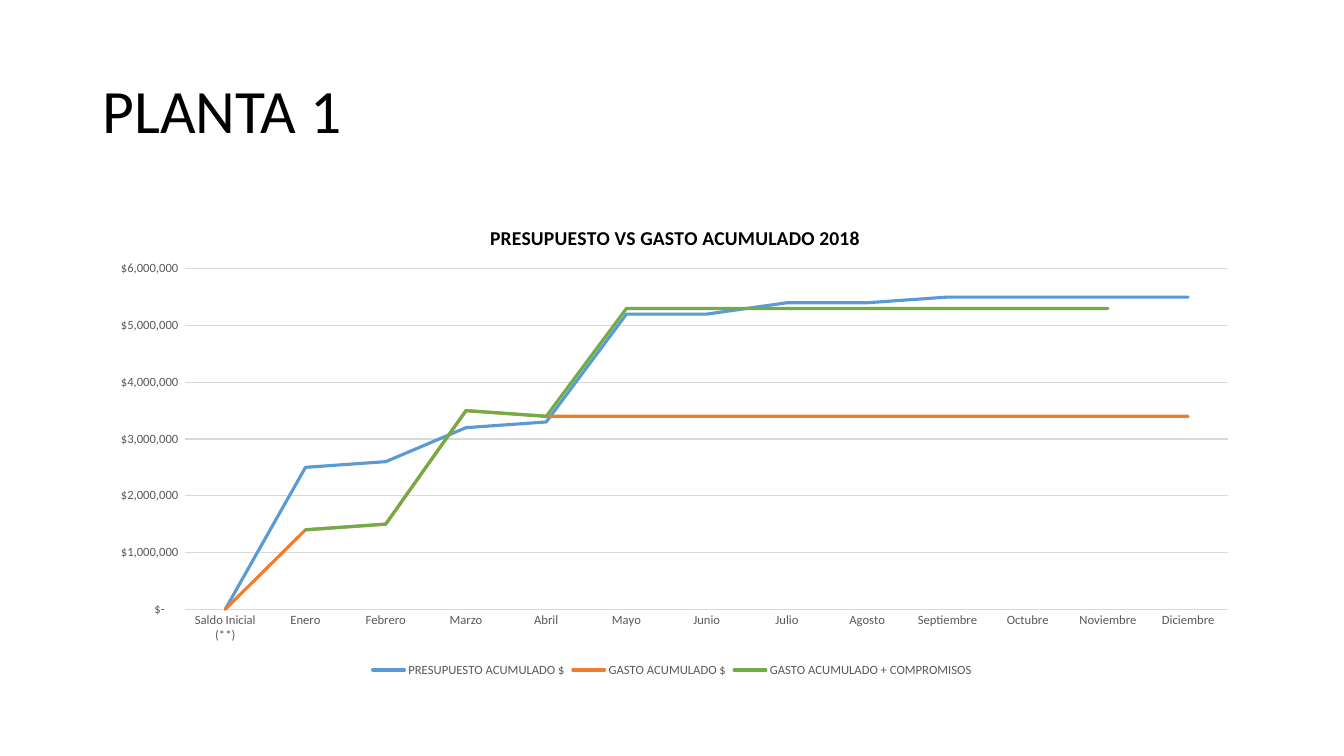
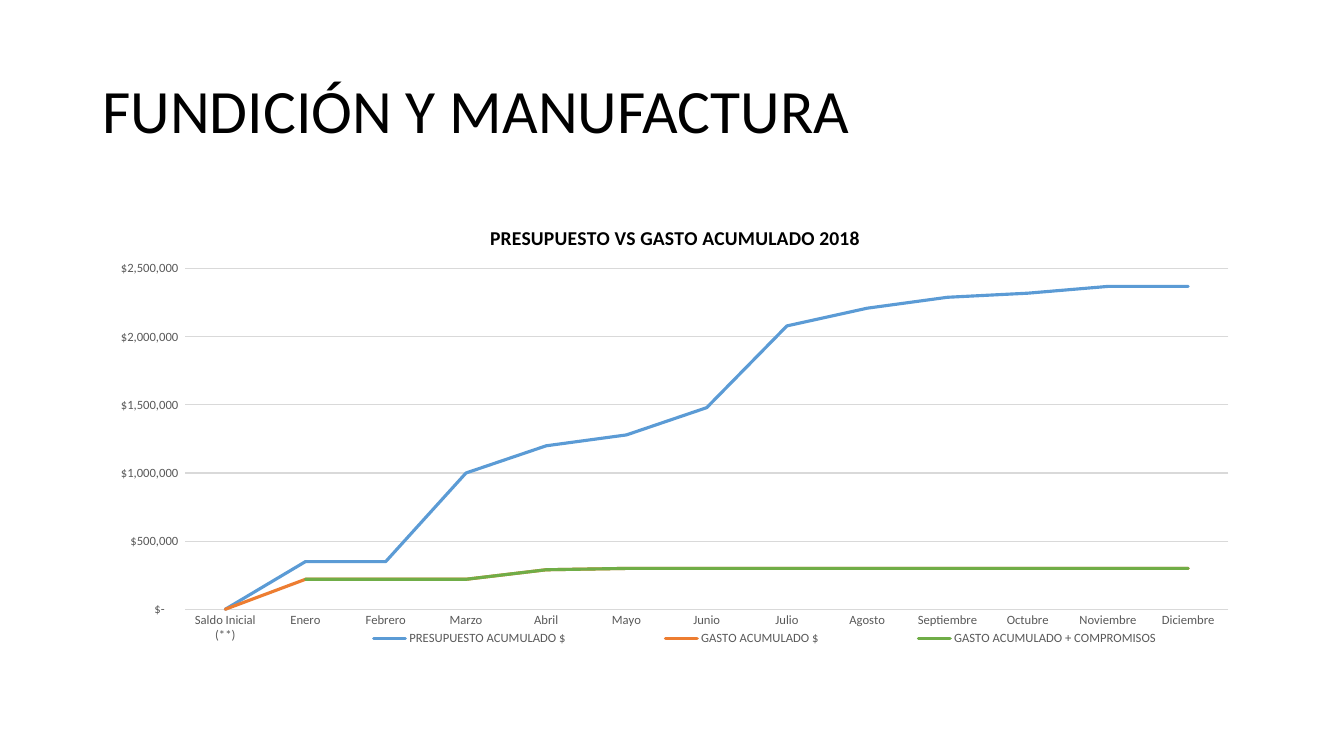
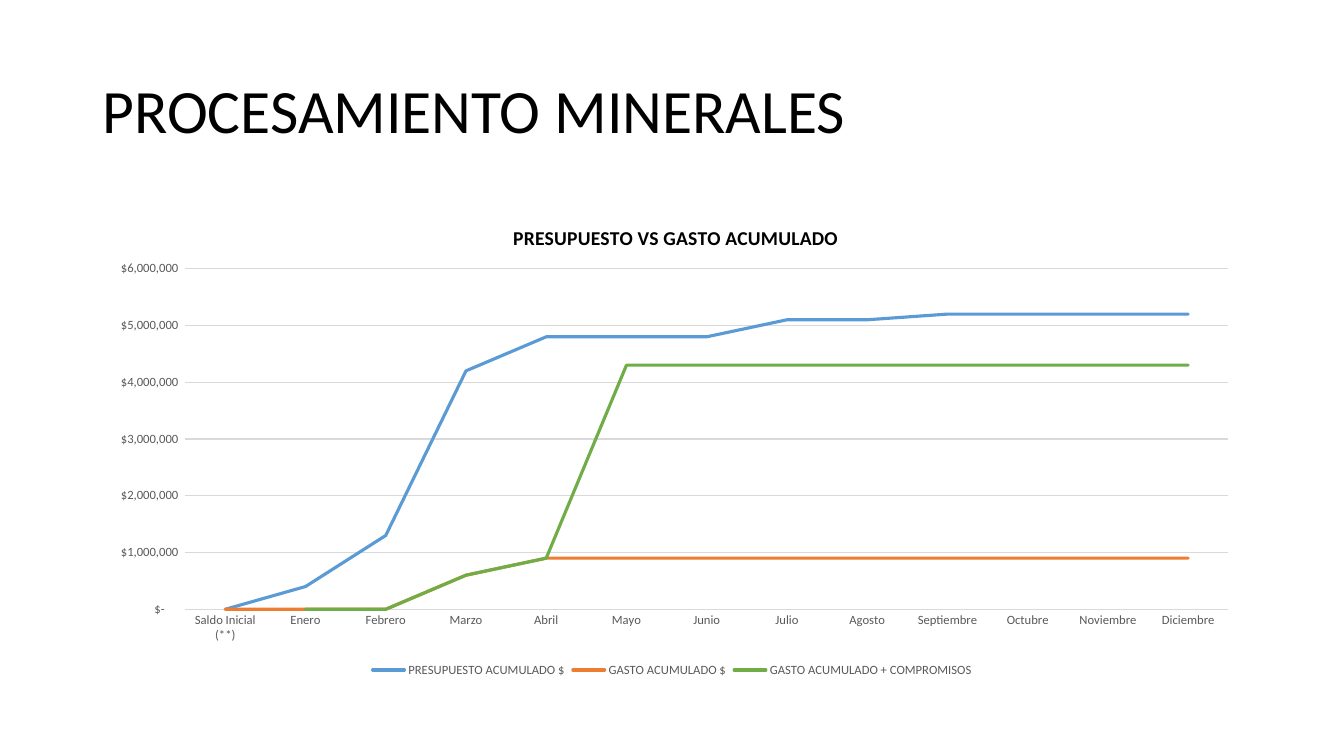
from pptx import Presentation
from pptx.chart.data import CategoryChartData
from pptx.dml.color import RGBColor
from pptx.enum.chart import XL_CHART_TYPE, XL_LEGEND_POSITION, XL_TICK_MARK
from pptx.enum.text import MSO_ANCHOR, PP_ALIGN
from pptx.oxml import parse_xml
from pptx.oxml.ns import nsdecls, qn
from pptx.util import Pt

LINE = XL_CHART_TYPE.LINE
BOTTOM = XL_LEGEND_POSITION.BOTTOM
NONE = XL_TICK_MARK.NONE
MIDDLE = MSO_ANCHOR.MIDDLE
LEFT = PP_ALIGN.LEFT

FONT = "Calibri"
BLACK = RGBColor(0x00, 0x00, 0x00)
GRAY = RGBColor(0x59, 0x59, 0x59)
PALE = RGBColor(0xD9, 0xD9, 0xD9)
BLUE = RGBColor(0x5B, 0x9B, 0xD5)
ORANGE = RGBColor(0xED, 0x7D, 0x31)
GREEN = RGBColor(0x70, 0xAD, 0x47)

WIDE, HIGH = 960, 540
EDGE = 66
TITLE_BOX = [Pt(n) for n in (EDGE, 28.8, WIDE - 2 * EDGE, 104.4)]
CHART_BOX = [Pt(n) for n in (EDGE, 144, WIDE - 2 * EDGE, 342.7)]

MONTHS = ["Saldo Inicial (**)", "Enero", "Febrero", "Marzo", "Abril", "Mayo",
          "Junio", "Julio", "Agosto", "Septiembre", "Octubre", "Noviembre",
          "Diciembre"]
SERIES = [("PRESUPUESTO ACUMULADO $", BLUE),
          ("GASTO ACUMULADO $", ORANGE),
          ("GASTO ACUMULADO + COMPROMISOS", GREEN)]
DASH = '_-"$"* #,##0_-;\\-"$"* #,##0_-;_-"$"* "-"??_-;_-@_-'
PAREN = '_("$"* #,##0_);_("$"* \\(#,##0\\);_("$"* "-"??_);_(@_)'

SLIDES = [
    {"title": "PLANTA 1", "head": "PRESUPUESTO VS GASTO ACUMULADO 2018",
     "left": 0.34, "top": 0.14, "format": DASH, "max": 6000, "step": 1000,
     "key": None,
     "rows": [
         [0, 2500, 2600, 3200, 3300] + [5200] * 2 + [5400] * 2 + [5500] * 4,
         [0, 1400, 1500, 3500] + [3400] * 9,
         [None, 1400, 1500, 3500, 3400] + [5300] * 7 + [None]]},
    {"title": "FUNDICIÓN Y MANUFACTURA",
     "head": "PRESUPUESTO VS GASTO ACUMULADO 2018",
     "left": 0.34, "top": 0.14, "format": DASH, "max": 2500, "step": 500,
     "key": (0.16, 0.89, 0.84, 0.04),
     "rows": [
         [0, 350, 350, 1000, 1200, 1280, 1480, 2080, 2210, 2290, 2320, 2370, 2370],
         [0] + [220] * 3 + [290] + [300] * 8,
         [None] + [220] * 3 + [290] + [300] * 8]},
    {"title": "PROCESAMIENTO MINERALES", "head": "PRESUPUESTO VS GASTO ACUMULADO",
     "left": 0.36, "top": 0.14, "format": PAREN, "max": 6000, "step": 1000,
     "key": None,
     "rows": [
         [0, 400, 1300, 4200] + [4800] * 3 + [5100] * 2 + [5200] * 4,
         [0] * 3 + [600] + [900] * 9,
         [None, 0, 0, 600, 900] + [4300] * 8]},
]


def style(font, size, color, bold=False):
    font.name, font.size, font.bold = FONT, Pt(size), bold
    font.color.rgb = color


def stroke(line, color, width):
    line.color.rgb = color
    line.width = Pt(width)


def place(part, index, spots, inner=False):
    old = part.find(qn("c:layout"))
    if old is not None:
        part.remove(old)
    body = '<c:layoutTarget val="inner"/>' if inner else ""
    names = "xywh"[:len(spots)]
    body += "".join(f'<c:{n}Mode val="edge"/>' for n in names[:2])
    body += "".join(f'<c:{n} val="{v}"/>' for n, v in zip(names, spots))
    part.insert(index, parse_xml(
        f'<c:layout {nsdecls("c")}><c:manualLayout>{body}</c:manualLayout></c:layout>'))


def move(shape, box):
    shape.left, shape.top, shape.width, shape.height = box


def add_title(slide, text):
    frame = slide.shapes.title.text_frame
    frame.text = text
    frame.vertical_anchor = MIDDLE
    para = frame.paragraphs[0]
    para.alignment = LEFT
    para.line_spacing = 0.9
    style(para.runs[0].font, 44, BLACK)


def style_axes(chart, item):
    for axis in (chart.category_axis, chart.value_axis):
        axis.major_tick_mark = axis.minor_tick_mark = NONE
        style(axis.tick_labels.font, 9, GRAY)
    stroke(chart.category_axis.format.line, PALE, 0.75)
    scale = chart.value_axis
    scale.format.line.fill.background()
    scale.minimum_scale = 0
    scale.maximum_scale = item["max"] * 1000
    scale.major_unit = item["step"] * 1000
    scale.has_major_gridlines = True
    stroke(scale.major_gridlines.format.line, PALE, 0.75)
    scale.tick_labels.number_format = item["format"]
    scale.tick_labels.number_format_is_linked = False


def add_lines(slide, item):
    data = CategoryChartData()
    data.categories = MONTHS
    for (name, color), row in zip(SERIES, item["rows"]):
        data.add_series(name, [None if n is None else n * 1000 for n in row])
    chart = slide.shapes.add_chart(LINE, *CHART_BOX, data).chart
    style(chart.font, 10, BLACK)

    chart.has_title = True
    frame = chart.chart_title.text_frame
    frame.text = item["head"]
    style(frame.paragraphs[0].runs[0].font, 14, BLACK, True)
    place(chart.chart_title._element, 1, (item["left"], 0.04))

    chart.has_legend = True
    legend = chart.legend
    legend.position = BOTTOM
    legend.include_in_layout = False
    style(legend.font, 9, GRAY)
    if item["key"]:
        place(legend._element, 1, item["key"])

    style_axes(chart, item)
    top = item["top"]
    place(chart._chartSpace.chart.plotArea, 0,
          (0.08, top, 0.9, round(0.85 - top, 2)), True)

    plot = chart.plots[0]
    plot.vary_by_categories = False
    for line, (name, color) in zip(plot.series, SERIES):
        line.smooth = False
        stroke(line.format.line, color, 2.25)
        line.format.line._get_or_add_ln().set("cap", "rnd")


def main():
    deck = Presentation()
    deck.slide_width, deck.slide_height = Pt(WIDE), Pt(HIGH)
    layout = deck.slide_layouts[5]
    move(layout.placeholders[0], TITLE_BOX)
    for item in SLIDES:
        slide = deck.slides.add_slide(layout)
        add_title(slide, item["title"])
        add_lines(slide, item)
    deck.save("out.pptx")


if __name__ == "__main__":
    main()
